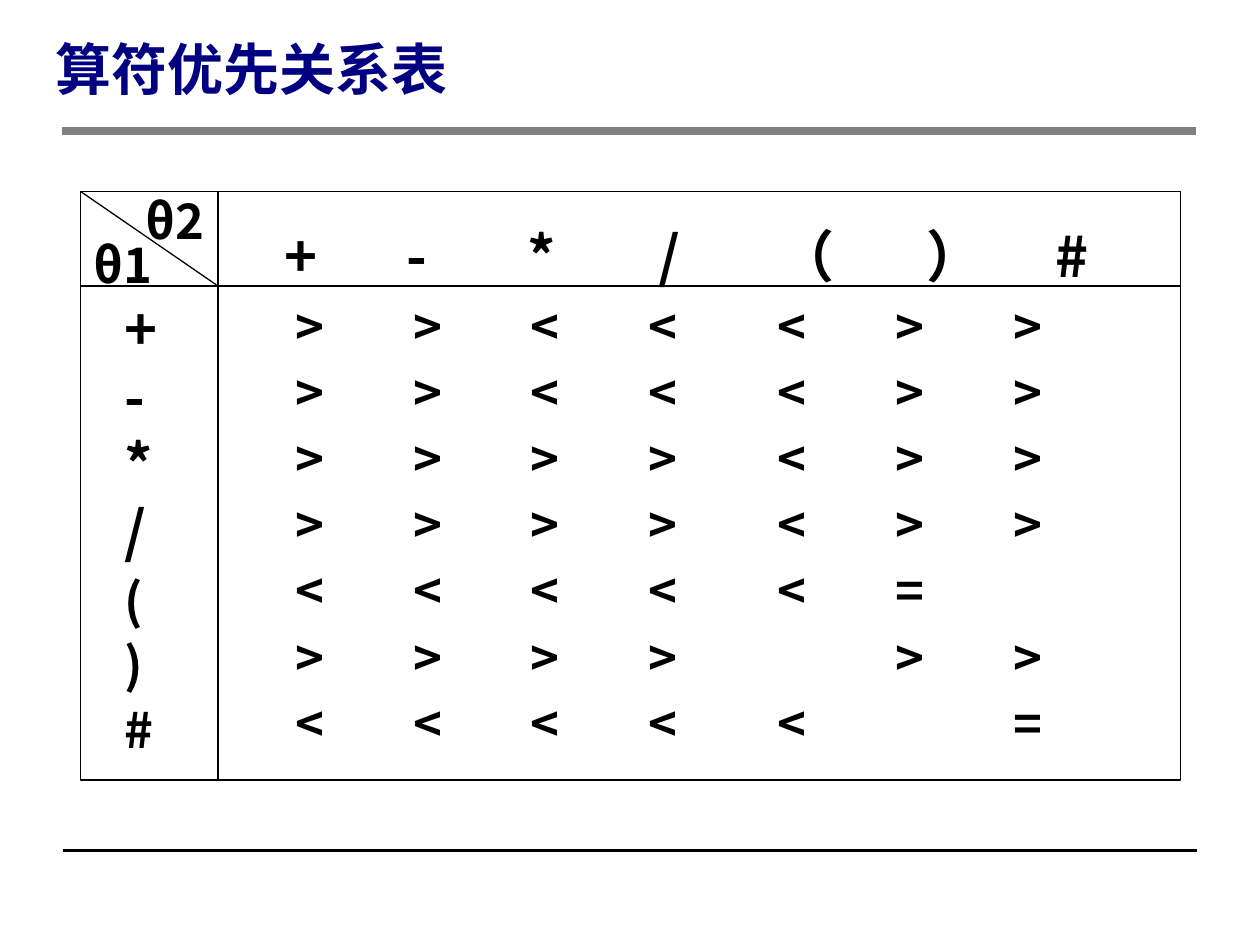
from collections import namedtuple

from lxml.etree import SubElement
from pptx import Presentation
from pptx.dml.color import RGBColor
from pptx.enum.shapes import MSO_CONNECTOR, MSO_SHAPE
from pptx.enum.text import MSO_ANCHOR
from pptx.oxml.ns import qn
from pptx.util import Inches, Pt

BLACK = RGBColor(0, 0, 0)
GRAY = RGBColor(128, 128, 128)
NAVY = RGBColor(0, 0, 128)
FONT = "Noto Sans CJK SC"
COLUMNS, ROWS = 100, 75
SLIDE_WIDTH, SLIDE_HEIGHT = Inches(10), Inches(7.5)

Box = namedtuple("Box", "left top width height")
Line = namedtuple("Line", "text size spacing tabs", defaults=((),))

OPERATORS = ["+", "-", "*", "/", "(", ")", "#"]
HEADER = ["+", "-", "*", "/", "（", "）", "#"]
HEADER_TABS = [5.6, 14.8, 24.7, 34.8, 45.7, 57.5, 66.8]
RELATION_TABS = [6.3, 15.7, 25, 34.3, 44.6, 53.9, 63.3]
RELATIONS = [
    [">", ">", "<", "<", "<", ">", ">"],
    [">", ">", "<", "<", "<", ">", ">"],
    [">", ">", ">", ">", "<", ">", ">"],
    [">", ">", ">", ">", "<", ">", ">"],
    ["<", "<", "<", "<", "<", "="],
    [">", ">", ">", ">", "", ">", ">"],
    ["<", "<", "<", "<", "<", "", "="],
]


def across(columns):
    """Return the length of a number of grid columns."""
    return int(SLIDE_WIDTH * columns / COLUMNS)


def down(rows):
    """Return the length of a number of grid rows."""
    return int(SLIDE_HEIGHT * rows / ROWS)


def add_line(slide, start, end, color=BLACK, width=0.75):
    """Draw a straight line between two grid points."""
    connector = slide.shapes.add_connector(
        MSO_CONNECTOR.STRAIGHT,
        across(start[0]), down(start[1]), across(end[0]), down(end[1]))
    connector.line.color.rgb = color
    connector.line.width = Pt(width)
    SubElement(connector._element.spPr, qn("a:effectLst"))


def add_tabs(paragraph, tabs):
    """Set centred tab stops at the given grid columns."""
    tab_list = SubElement(paragraph._p.get_or_add_pPr(), qn("a:tabLst"))
    for tab in tabs:
        SubElement(tab_list, qn("a:tab"), pos=str(across(tab)), algn="ctr")


def add_run(paragraph, text, size, color):
    """Add one bold run in the slide's font."""
    run = paragraph.add_run()
    run.text = text
    formats = {"name": FONT, "size": Pt(size), "bold": True}
    for name, value in formats.items():
        setattr(run.font, name, value)
    run.font.color.rgb = color
    SubElement(run._r.get_or_add_rPr(), qn("a:ea"), typeface=FONT)


def add_text(slide, box, lines, color=BLACK, anchor=MSO_ANCHOR.TOP):
    """Place a text box holding one paragraph per line."""
    shape = slide.shapes.add_textbox(
        across(box.left), down(box.top), across(box.width), down(box.height))
    frame = shape.text_frame
    formats = {"word_wrap": True, "vertical_anchor": anchor}
    for name, value in formats.items():
        setattr(frame, name, value)
    for index, line in enumerate(lines):
        paragraph = frame.add_paragraph() if index else frame.paragraphs[0]
        if line.tabs:
            add_tabs(paragraph, line.tabs)
        paragraph.line_spacing = Pt(line.spacing)
        add_run(paragraph, line.text, line.size, color)


def add_title(slide, box):
    """Place the title with the rule below it."""
    add_text(slide, box, [Line("算符优先关系表", 32, 40)], NAVY, MSO_ANCHOR.MIDDLE)
    rule_left, rule_top = box.left + 1.5, box.top + 8.1
    add_line(slide, (rule_left, rule_top), (rule_left + 90, rule_top), GRAY, 5)


def add_grid(slide, box, corner):
    """Draw the table frame, its dividers and the corner diagonal."""
    frame = slide.shapes.add_shape(
        MSO_SHAPE.RECTANGLE,
        across(box.left), down(box.top), across(box.width), down(box.height))
    frame.shadow.inherit = False
    frame.fill.background()
    frame.line.color.rgb = BLACK
    frame.line.width = Pt(0.75)
    right, bottom = box.left + box.width, box.top + box.height
    middle, below = corner.left + corner.width, corner.top + corner.height
    add_line(slide, (box.left, below), (right, below))
    add_line(slide, (middle, box.top), (middle, bottom))
    add_line(slide, (box.left, box.top), (middle, below))


def add_relations(slide, box):
    """Place the header operators and the relation rows."""
    lines = [Line("\t" + "\t".join(HEADER), 32, 40, HEADER_TABS)]
    lines += [Line("\t" + "\t".join(row), 28, 37.8, RELATION_TABS)
              for row in RELATIONS]
    add_text(slide, box, lines)


def add_operators(slide, box):
    """Place the column of left-hand operators."""
    lines = [Line(operator, 32, 38.5) for operator in OPERATORS[:4]]
    lines += [Line(operator, 28, 37) for operator in OPERATORS[4:]]
    add_text(slide, box, lines)


def add_table_region(slide, box):
    """Place the whole precedence table inside its box."""
    corner = Box(box.left, box.top, 10.9, 7.5)
    add_grid(slide, box, corner)
    add_relations(slide, Box(box.left + corner.width, box.top + 1.7, 74.8, 44.3))
    add_operators(slide, Box(box.left + 2.5, box.top + 7.7, 6.7, 37.7))
    add_text(slide, Box(box.left, box.top + 2.7, 10.1, 5.7), [Line("θ1", 28, 35)])
    add_text(slide, Box(box.left + 4.2, box.top - 0.8, 8.4, 5.7),
             [Line("θ2", 28, 35)])


def main():
    """Build and save the slide."""
    presentation = Presentation()
    presentation.slide_width = SLIDE_WIDTH
    presentation.slide_height = SLIDE_HEIGHT
    slide = presentation.slides.add_slide(presentation.slide_layouts[6])
    add_line(slide, (5, 67.5), (95, 67.5), width=2)
    add_title(slide, Box(3.4, 2.3, 97.5, 6))
    add_table_region(slide, Box(6.4, 15.2, 87.3, 46.7))
    presentation.save("out.pptx")


if __name__ == "__main__":
    main()
